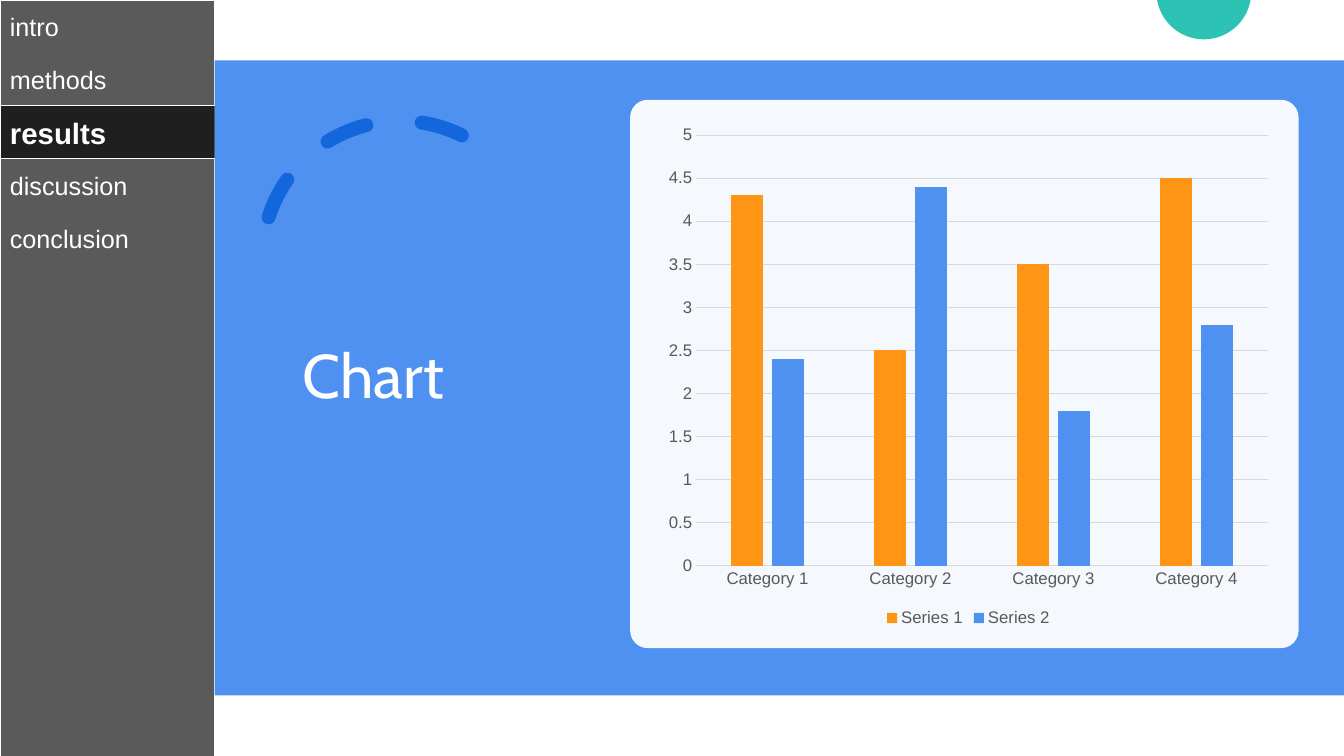
import math

import pptx
import pptx.chart.data
import pptx.dml.color
import pptx.enum.chart
import pptx.enum.dml
import pptx.enum.shapes
import pptx.enum.text
import pptx.oxml.ns
import pptx.util
from lxml import etree

Inches = pptx.util.Inches
Pt = pptx.util.Pt
RGB = pptx.dml.color.RGBColor.from_string
SHAPES = pptx.enum.shapes.MSO_SHAPE
qn = pptx.oxml.ns.qn

THEME = {
    "white": RGB("FFFFFF"),
    "sidebar": RGB("5A5A5A"),
    "highlight": RGB("111111"),
    "blue": RGB("4E91F0"),
    "deep_blue": RGB("1366DC"),
    "teal": RGB("2CC3B4"),
    "orange": RGB("FF9514"),
    "label": RGB("595959"),
    "grid": RGB("D9D9D9"),
    "title_font": "Cabin",
    "body_font": "Arial",
    "title_size": Pt(44),
    "menu_size": Pt(18),
    "active_size": Pt(21),
    "chart_size": Pt(12),
}


def paint(shape, fill, line=None, opacity=100):
    shape.shadow.inherit = False
    shape.fill.solid()
    shape.fill.fore_color.rgb = fill
    if line is None:
        shape.line.fill.background()
    else:
        shape.line.color.rgb = line
        shape.line.width = Pt(0.5)
    if opacity < 100:
        color = shape._element.spPr.find(qn("a:solidFill"))[0]
        etree.SubElement(color, qn("a:alpha")).set("val", str(opacity * 1000))


def add_label(box, text, font_values):
    shape = slide.shapes.add_textbox(*map(Inches, box))
    frame = shape.text_frame
    frame_values = {
        "word_wrap": True,
        "vertical_anchor": pptx.enum.text.MSO_ANCHOR.MIDDLE,
        "margin_left": Inches(0.1),
        "margin_right": Inches(0.05),
    }
    for name, value in frame_values.items():
        setattr(frame, name, value)
    paragraph = frame.paragraphs[0]
    run = paragraph.add_run()
    run.text = text
    run.font.color.rgb = THEME["white"]
    for name, value in font_values.items():
        setattr(run.font, name, value)
    return paragraph


presentation = pptx.Presentation()
presentation.slide_width = Inches(13.33)
presentation.slide_height = Inches(7.5)
slide = presentation.slides.add_slide(presentation.slide_layouts[6])

center_x, center_y, radius = 11.94, -0.08, 0.47
start = math.asin(-center_y / radius)
steps = 60
edge = []
for step in range(steps + 1):
    angle = start + (math.pi - 2 * start) * step / steps
    edge.append((Inches(center_x + radius * math.cos(angle)),
                 Inches(max(0, center_y + radius * math.sin(angle)))))
builder = slide.shapes.build_freeform(*edge[0])
builder.add_line_segments(edge[1:], close=True)
paint(builder.convert_to_shape(), THEME["teal"])

menu_width, row_height = 2.13, 0.525
menu = ["intro", "methods", "results", "discussion", "conclusion"]
active = menu.index("results")

panels = [
    (SHAPES.RECTANGLE, (0, 0, menu_width, 7.5), THEME["sidebar"], THEME["white"], 100),
    (SHAPES.RECTANGLE, (0, active * row_height, 2.27, row_height),
     THEME["highlight"], THEME["white"], 80),
    (SHAPES.RECTANGLE, (menu_width, 0.6, 11.2, 6.3), THEME["blue"], None, 100),
    (SHAPES.ROUNDED_RECTANGLE, (6.25, 0.99, 6.63, 5.44), THEME["white"], None, 95),
]
for kind, box, fill, line, opacity in panels:
    panel = slide.shapes.add_shape(kind, *map(Inches, box))
    paint(panel, fill, line, opacity)
panel.adjustments[0] = 0.032

arc = slide.shapes.add_shape(SHAPES.ARC, Inches(2.6), Inches(1.2), Inches(2.74), Inches(2.74))
arc.shadow.inherit = False
arc.adjustments[0] = 146.13
arc.adjustments[1] = 0
arc.fill.background()
arc.line.color.rgb = THEME["deep_blue"]
arc.line.width = Pt(10)
arc.line.dash_style = pptx.enum.dml.MSO_LINE.DASH
arc._element.spPr.find(qn("a:ln")).set("cap", "rnd")
arc._element.spPr.find(qn("a:xfrm")).set("flipH", "1")

title = add_label((2.9, 1.19, 2.71, 5.12), "Chart",
                  {"name": THEME["title_font"], "size": THEME["title_size"]})
title.line_spacing = 0.9

chart_data = pptx.chart.data.CategoryChartData()
chart_data.categories = [f"Category {number}" for number in range(1, 5)]
chart_data.add_series("Series 1", (4.3, 2.5, 3.5, 4.5))
chart_data.add_series("Series 2", (2.4, 4.4, 1.8, 2.8))
chart = slide.shapes.add_chart(
    pptx.enum.chart.XL_CHART_TYPE.COLUMN_CLUSTERED,
    Inches(6.51), Inches(1.15), Inches(6.19), Inches(5.11), chart_data).chart
chart.has_title = False
chart.font.name = THEME["body_font"]
chart.font.size = THEME["chart_size"]
chart.font.color.rgb = THEME["label"]
chart.has_legend = True
chart.legend.position = pptx.enum.chart.XL_LEGEND_POSITION.BOTTOM
chart.legend.include_in_layout = False

plot = chart.plots[0]
plot_values = {"gap_width": 219, "overlap": -27, "vary_by_categories": False}
for name, value in plot_values.items():
    setattr(plot, name, value)
for series, color in zip(plot.series, (THEME["orange"], THEME["blue"])):
    series.format.fill.solid()
    series.format.fill.fore_color.rgb = color

value_axis = chart.value_axis
axis_values = {"minimum_scale": 0, "maximum_scale": 5, "major_unit": 0.5,
               "has_major_gridlines": True}
for name, value in axis_values.items():
    setattr(value_axis, name, value)
value_axis.format.line.fill.background()
for axis in (chart.category_axis, value_axis):
    axis.major_tick_mark = pptx.enum.chart.XL_TICK_MARK.NONE
    axis.minor_tick_mark = pptx.enum.chart.XL_TICK_MARK.NONE
for line in (chart.category_axis.format.line, value_axis.major_gridlines.format.line):
    line.color.rgb = THEME["grid"]
    line.width = Pt(0.75)

for index, entry in enumerate(menu):
    is_active = index == active
    add_label((0, index * row_height, menu_width, row_height), entry, {
        "name": THEME["body_font"],
        "size": THEME["active_size"] if is_active else THEME["menu_size"],
        "bold": is_active,
    })

presentation.save("out.pptx")
